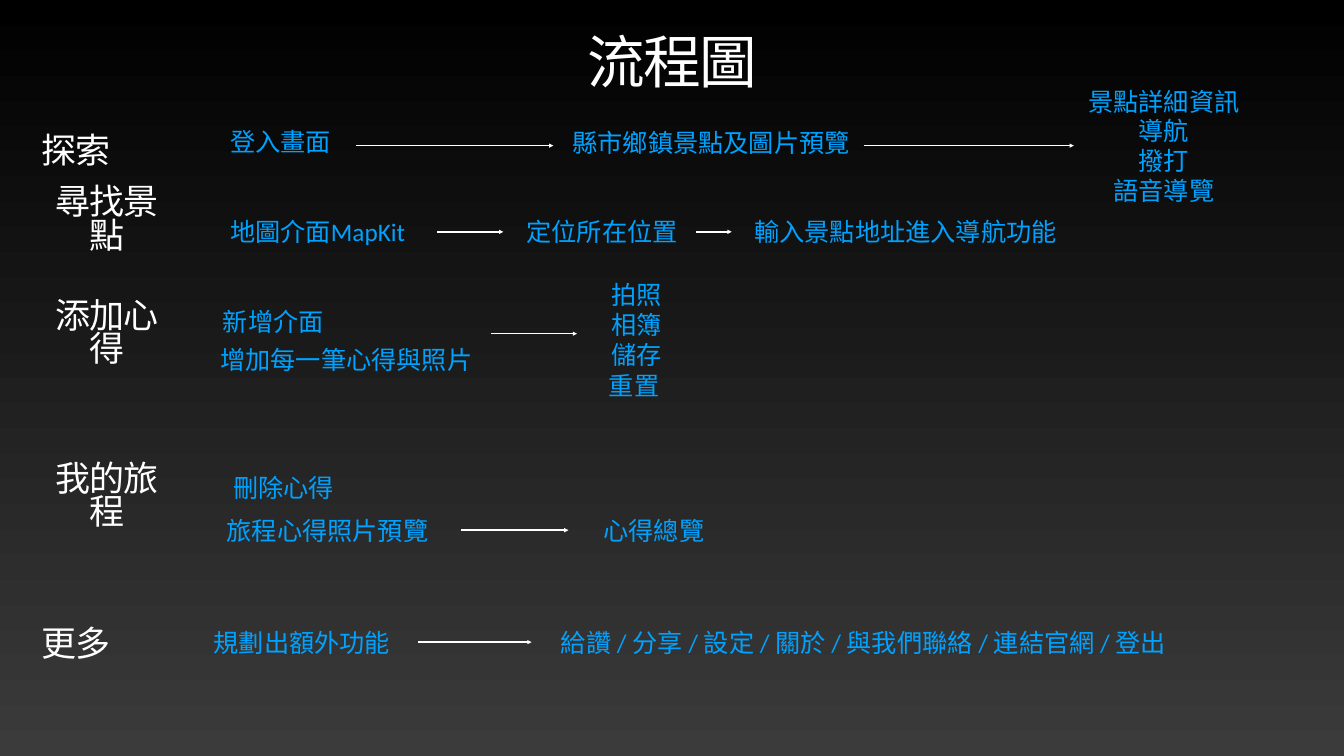
from lxml import etree
from pptx import Presentation
from pptx.dml.color import RGBColor
from pptx.enum.shapes import MSO_CONNECTOR as Connector
from pptx.enum.text import MSO_ANCHOR as Anchor, MSO_AUTO_SIZE as AutoSize, PP_ALIGN as Align
from pptx.oxml.ns import qn
from pptx.util import Inches, Pt

COLORS = {"top": "000000", "bottom": "3B3B3B", "white": "FFFFFF",
          "grey": "929292", "step": "00A2FF"}
FONT = "Calibri"


def shade(fill, first, last):
    """Vertical gradient between two named colours."""
    fill.gradient()
    fill.gradient_angle = 270
    for stop, name in zip(fill.gradient_stops, (first, last)):
        stop.color.rgb = RGBColor.from_string(COLORS[name])


def write(box, lines, size, heading=False, wrap=True, line_spacing=0.8):
    """Centred text: shaded heading or plain blue step."""
    frame = box.text_frame
    frame.word_wrap = wrap
    frame.auto_size = AutoSize.NONE if heading else AutoSize.SHAPE_TO_FIT_TEXT
    frame.vertical_anchor = Anchor.BOTTOM if heading else Anchor.MIDDLE
    frame.margin_left = frame.margin_right = Inches(0.06)
    frame.margin_top = frame.margin_bottom = Inches(0.06)
    for index, line in enumerate(lines):
        para = frame.add_paragraph() if index else frame.paragraphs[0]
        para.alignment = Align.CENTER
        span = para.add_run()
        span.text = line
        span.font.size = Pt(size)
        span.font.name = FONT
        if heading:
            para.line_spacing = line_spacing
            para.space_before = Pt(0)
            shade(span.font.fill, "white", "grey")
            span.font._element.set("spc", "-250" if size > 50 else "-150")
        else:
            span.font.color.rgb = RGBColor.from_string(COLORS["step"])


deck = Presentation()
deck.slide_width, deck.slide_height = Inches(26.67), Inches(15)
page = deck.slides.add_slide(deck.slide_layouts[5])
shade(page.background.fill, "top", "bottom")

# Title
title = page.shapes.title
title.left, title.top = Inches(1.39), Inches(0.24)
title.width, title.height = Inches(23.89), Inches(1.7)
write(title, ["流程圖"], 82.3, heading=True)

# Row labels: text, left, top, width, line spacing
labels = [
    ("探索", 0.76, 1.74, 1.49, 0.8),
    ("尋找景點", 0.71, 3.42, 2.82, 0.8),
    ("添加心得", 0.71, 5.67, 2.82, 0.8),
    ("我的旅程", 0.71, 8.91, 2.82, 0.8),
    ("更多", 0.76, 11.53, 1.49, 0.9),
]
for text, left, top, width, line_spacing in labels:
    box = page.shapes.add_textbox(Inches(left), Inches(top), Inches(width), Inches(1.7))
    write(box, [text], 50, heading=True, line_spacing=line_spacing)

# Steps: lines, left, top, width, height, wrap
steps = [
    # Explore
    (["登入畫面 "], 4.5, 2.4, 2.25, 0.82, False),
    (["縣市鄉鎮景點及圖片預覽 "], 11.29, 2.42, 5.75, 0.82, False),
    (["景點詳細資訊"], 21.53, 1.6, 3.13, 0.81, False),
    (["導航"], 22.53, 2.19, 1.13, 0.81, False),
    (["撥打"], 22.53, 2.78, 1.13, 0.81, False),
    (["語音導覽"], 22.03, 3.37, 2.13, 0.81, False),
    # Find places
    (["地圖介面MapKit "], 4.42, 4.19, 3.88, 0.82, False),
    (["定位所在位置 "], 10.38, 4.18, 3.25, 0.82, False),
    (["輸入景點地址進入導航功能 "], 14.9, 4.19, 6.25, 0.82, False),
    # Add notes
    (["新增介面"], 4.36, 5.98, 2.13, 0.81, False),
    (["增加每一筆心得與照片 "], 4.11, 6.73, 5.64, 0.82, True),
    (["拍照", "相簿", "儲存", "重置 "], 11.99, 5.29, 1.3, 2.9, True),
    # My trips
    (["刪除心得"], 4.56, 9.27, 2.13, 0.81, False),
    (["旅程心得照片預覽 "], 3.72, 10.11, 5.67, 0.82, True),
    (["心得總覽"], 11.91, 10.12, 2.13, 0.81, False),
    # More
    (["規劃出額外功能 "], 4.17, 12.33, 3.75, 0.82, False),
    (["給讚 / 分享 / 設定 / 關於 / 與我們聯絡 / 連結官網 / 登出"],
     10.12, 12.33, 14.03, 0.82, True),
]
for lines, left, top, width, height, wrap in steps:
    box = page.shapes.add_textbox(Inches(left), Inches(top), Inches(width), Inches(height))
    write(box, lines, 36, wrap=wrap)

# Arrows: start, end, height on the page
arrows = [
    (7.06, 10.98, 2.89), (17.14, 21.31, 2.89),
    (8.68, 9.99, 4.6), (13.81, 14.52, 4.6),
    (9.75, 11.45, 6.62), (9.15, 11.28, 10.52), (8.3, 10.55, 12.74),
]
for start, end, y in arrows:
    arrow = page.shapes.add_connector(
        Connector.STRAIGHT, Inches(start), Inches(y), Inches(end), Inches(y))
    arrow.line.width = Pt(2)
    arrow.line.color.rgb = RGBColor.from_string(COLORS["white"])
    properties = arrow._element.spPr
    etree.SubElement(properties.find(qn("a:ln")), qn("a:tailEnd"), type="triangle")
    etree.SubElement(properties, qn("a:effectLst"))

deck.save("out.pptx")
